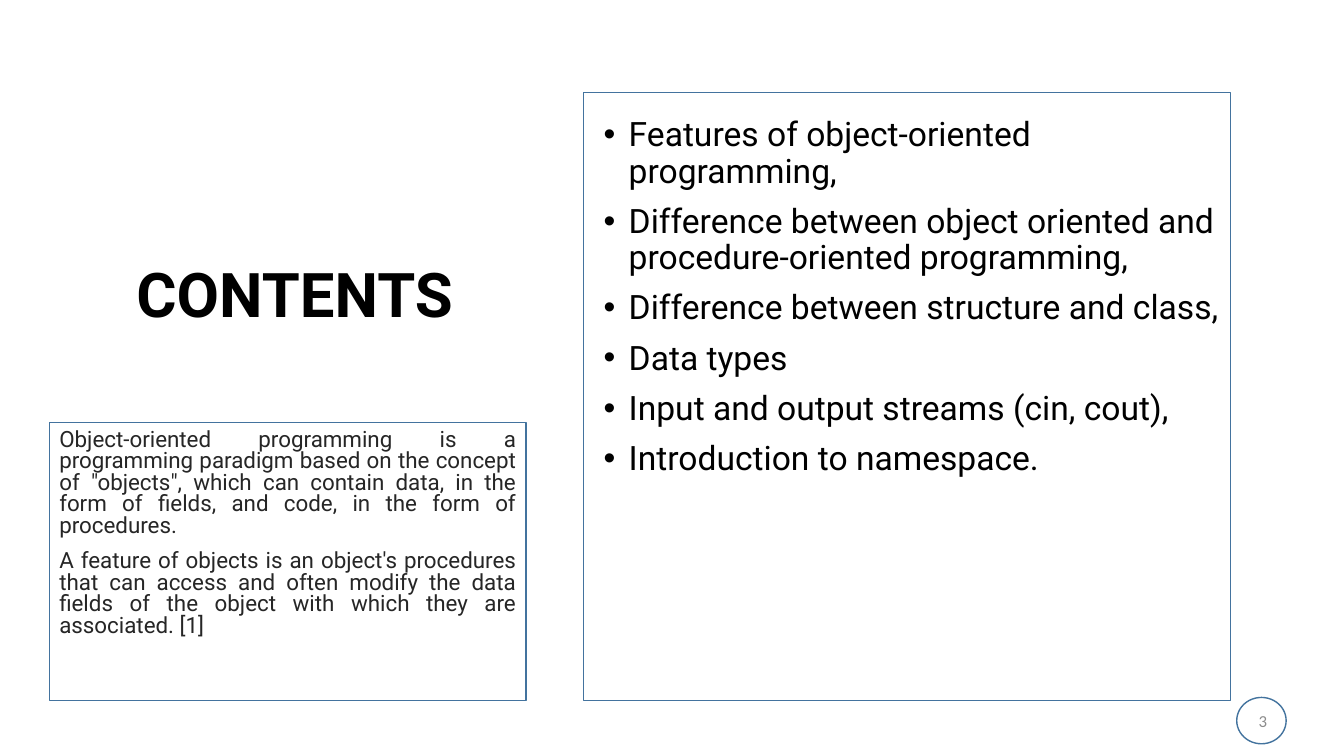
"""Build the contents slide: a heading, a definition panel and a topic list."""
from lxml.etree import SubElement
from pptx import Presentation
from pptx.dml.color import RGBColor
from pptx.enum.shapes import MSO_SHAPE
from pptx.enum.text import MSO_ANCHOR, PP_ALIGN
from pptx.oxml.ns import qn
from pptx.util import Pt


def color(value):
    return RGBColor.from_string(value)


def add_text(place, lines, font, layout, anchor=MSO_ANCHOR.TOP, bullet=None):
    box = page.shapes.add_textbox(*map(Pt, place))
    frame = box.text_frame
    frame.word_wrap = True
    frame.vertical_anchor = anchor
    for index, line in enumerate(lines):
        para = frame.paragraphs[0] if index == 0 else frame.add_paragraph()
        for name, value in layout.items():
            setattr(para, name, value)
        if index:
            para.space_before = Pt(10)
        if bullet:
            properties = para._p.get_or_add_pPr()
            properties.set("marL", str(Pt(18)))
            properties.set("indent", str(Pt(-18)))
            SubElement(properties, qn("a:buFont")).set("typeface", "Arial")
            SubElement(properties, qn("a:buChar")).set("char", bullet)
        span = para.add_run()
        span.text = line
        family, size, bold, tint = font
        for name, value in {"name": family, "size": Pt(size), "bold": bold}.items():
            setattr(span.font, name, value)
        span.font.color.rgb = color(tint)


deck = Presentation()
deck.slide_width, deck.slide_height = Pt(960), Pt(540)
page = deck.slides.add_slide(deck.slide_layouts[6])

topics = [
    "Features of object-oriented programming,",
    "Difference between object oriented and procedure-oriented programming,",
    "Difference between structure and class,",
    "Data types",
    "Input and output streams (cin, cout),",
    "Introduction to namespace.",
]
definition = [
    "Object-oriented programming is a programming paradigm based on the concept "
    'of "objects", which can contain data, in the form of fields, and code, '
    "in the form of procedures.",
    "A feature of objects is an object's procedures that can access and often "
    "modify the data fields of the object with which they are associated. [1]",
]

add_text((424, 80.6, 455, 384), topics, ("Roboto", 24, False, "000000"),
         {"line_spacing": 0.9}, bullet="•")
add_text((35.3, 303.8, 340.6, 161.3), definition, ("Roboto", 16, False, "262626"),
         {"line_spacing": 0.8, "alignment": PP_ALIGN.JUSTIFY})
add_text((696.2, 500.4, 216, 28.8), ["3"], ("Calibri", 12, False, "8C8C8C"),
         {"alignment": PP_ALIGN.RIGHT}, MSO_ANCHOR.MIDDLE)
add_text((35.3, 185, 350.6, 72), ["CONTENTS"], ("Roboto", 44, True, "000000"),
         {"line_spacing": 0.9, "alignment": PP_ALIGN.CENTER})

outlines = [
    (MSO_SHAPE.RECTANGLE, (416.9, 66.2, 462.2, 434.2)),
    (MSO_SHAPE.RECTANGLE, (35.3, 301.7, 340.6, 198.7)),
    (MSO_SHAPE.OVAL, (883.4, 498.2, 35.3, 33.1)),
]
for kind, place in outlines:
    outline = page.shapes.add_shape(kind, *map(Pt, place))
    outline.shadow.inherit = False
    outline.fill.background()
    outline.line.color.rgb = color("43739E")
    outline.line.width = Pt(1)

deck.save("out.pptx")
